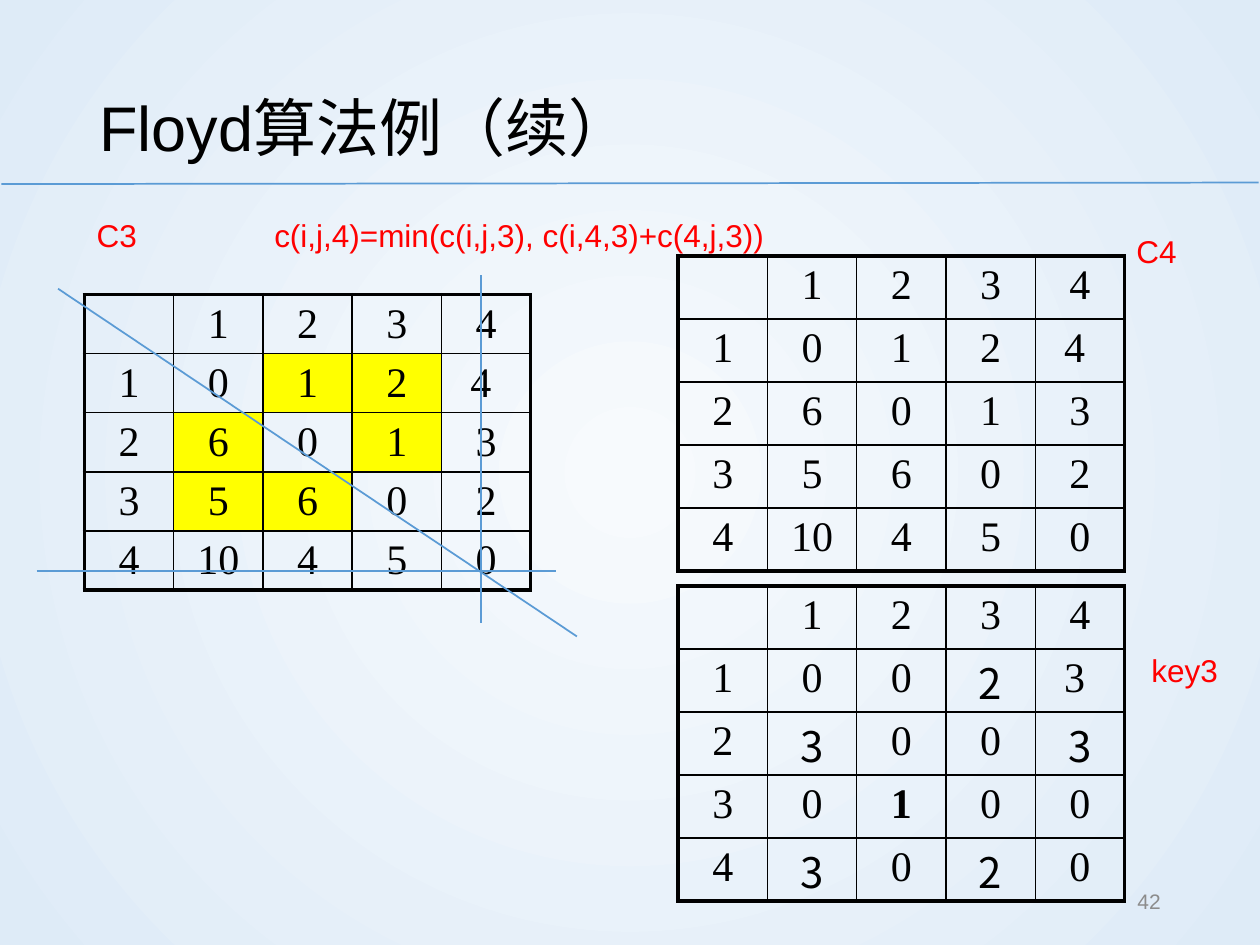
from dataclasses import dataclass

from lxml.etree import SubElement
from pptx import Presentation
from pptx.dml.color import RGBColor as Rgb
from pptx.enum.shapes import MSO_CONNECTOR as Connector
from pptx.enum.text import MSO_ANCHOR as Anchor, PP_ALIGN as Align
from pptx.oxml.ns import qn
from pptx.util import Cm, Pt


@dataclass(frozen=True)
class Theme:
    sans: str = "Arial"
    serif: str = "Times New Roman"
    cjk: str = "Noto Sans CJK SC"
    ink: str = "000000"
    accent: str = "FF0000"
    muted: str = "8C8C8C"
    line: str = "5B9BD5"
    highlight: str = "FFFF00"
    glow: str = "F7FAFD"
    edge: str = "DEEBF7"
    title_size: int = 36
    cell_size: int = 24
    label_size: int = 18
    number_size: int = 12
    thin: float = 1
    thick: float = 2.25


THEME = Theme()
CELL_WIDTH = 1.8

COSTS = [
    ["", "1", "2", "3", "4"],
    ["1", "0", "1", "2", "4 "],
    ["2", "6", "0", "1", "3"],
    ["3", "5", "6", "0", "2"],
    ["4", "10", "4", "5", "0"],
]
KEYS = [
    ["", "1", "2", "3", "4"],
    ["1", "0", "0", "2", "3 "],
    ["2", "3", "0", "0", "3"],
    ["3", "0", "1", "0", "0"],
    ["4", "3", "0", "2", "0"],
]
COMPARED = {(i, j) for i in range(1, 4) for j in range(1, 4) if i != j}
UPDATED_KEYS = {(1, 3), (2, 1), (2, 4), (4, 1), (4, 3)}
BOLD_KEYS = {(3, 2)}

MATRICES = [
    dict(values=COSTS, left=1.7, top=5.94, row_height=1.19, highlighted=COMPARED),
    dict(values=COSTS, left=13.67, top=5.16, row_height=1.27),
    dict(values=KEYS, left=13.67, top=11.81, row_height=1.27,
         cjk_cells=UPDATED_KEYS, bold_cells=BOLD_KEYS),
]
LABELS = [
    ("C3", 1.7, 4.24, 1.9),
    ("c(i,j,4)=min(c(i,j,3), c(i,4,3)+c(4,j,3))", 5.28, 4.24, 19.25),
    ("C4", 22.66, 4.55, 1.9),
    ("key3", 22.96, 13, 1.9),
]
LINES = [
    (0.03, 3.71, 25.37, 3.68),
    (1.17, 5.82, 11.63, 12.83),
    (0.74, 11.51, 11.2, 11.51),
    (9.7, 12.55, 9.7, 5.54),
]


def style(paragraph, size, color, name):
    paragraph.font.size = Pt(size)
    paragraph.font.color.rgb = Rgb.from_string(color)
    paragraph.font.name = name


def paint_background(slide):
    fill = slide.background.fill
    fill.gradient()
    for stop, color in zip(fill.gradient_stops, (THEME.glow, THEME.edge)):
        stop.color.rgb = Rgb.from_string(color)
    gradient = next(slide.element.iter(qn("a:gradFill")))
    gradient.remove(gradient.find(qn("a:lin")))
    radial = SubElement(gradient, qn("a:path"), path="circle")
    SubElement(radial, qn("a:fillToRect"), {side: "50000" for side in "ltrb"})


def add_text(slide, text, left, top, width, height, size, color,
             anchor=Anchor.TOP, align=Align.LEFT):
    shape = slide.shapes.add_textbox(Cm(left), Cm(top), Cm(width), Cm(height))
    frame = shape.text_frame
    frame.word_wrap = True
    frame.vertical_anchor = anchor
    paragraph = frame.paragraphs[0]
    paragraph.text = text
    paragraph.alignment = align
    style(paragraph, size, color, THEME.sans)
    return paragraph


def add_line(slide, x1, y1, x2, y2):
    line = slide.shapes.add_connector(Connector.STRAIGHT, Cm(x1), Cm(y1), Cm(x2), Cm(y2))
    line.line.color.rgb = Rgb.from_string(THEME.line)
    line.line.width = Pt(THEME.thin)
    SubElement(line._element.spPr, qn("a:effectLst"))


def set_borders(cell, outer_sides):
    properties = cell._tc.get_or_add_tcPr()
    for side in "LRTB":
        width = THEME.thick if side in outer_sides else THEME.thin
        border = SubElement(properties, qn(f"a:ln{side}"), w=str(Pt(width)))
        fill = SubElement(border, qn("a:solidFill"))
        SubElement(fill, qn("a:srgbClr"), val=THEME.ink)


def add_matrix(slide, values, left, top, row_height,
               highlighted=(), cjk_cells=(), bold_cells=()):
    count = len(values)
    table = slide.shapes.add_table(count, count, Cm(left), Cm(top),
                                   Cm(CELL_WIDTH * count), Cm(row_height * count)).table
    table.first_row = table.horz_banding = False
    for column in table.columns:
        column.width = Cm(CELL_WIDTH)
    for i, row in enumerate(values):
        table.rows[i].height = Cm(row_height)
        for j, text in enumerate(row):
            cell = table.cell(i, j)
            edges = {"T": i == 0, "B": i == count - 1, "L": j == 0, "R": j == count - 1}
            set_borders(cell, [side for side, outer in edges.items() if outer])
            if (i, j) in highlighted:
                cell.fill.solid()
                cell.fill.fore_color.rgb = Rgb.from_string(THEME.highlight)
            else:
                cell.fill.background()
            is_cjk = (i, j) in cjk_cells
            cell.margin_bottom = 0
            if is_cjk:
                cell.margin_top = 0
                cell.vertical_anchor = Anchor.BOTTOM
            paragraph = cell.text_frame.paragraphs[0]
            paragraph.text = text
            paragraph.alignment = Align.CENTER
            style(paragraph, THEME.cell_size, THEME.ink, THEME.cjk if is_cjk else THEME.serif)
            paragraph.font.bold = (i, j) in bold_cells


def main():
    presentation = Presentation()
    presentation.slide_width, presentation.slide_height = Cm(25.4), Cm(19.05)
    slide = presentation.slides.add_slide(presentation.slide_layouts[6])
    paint_background(slide)

    title = add_text(slide, "Floyd算法例（续）", 1.75, 1.02, 21.9, 2.74,
                     THEME.title_size, THEME.ink, Anchor.MIDDLE)
    title.line_spacing = 1.2
    SubElement(title._p.pPr.find(qn("a:defRPr")), qn("a:ea"), typeface=THEME.cjk)

    for matrix in MATRICES:
        add_matrix(slide, **matrix)
    for text, left, top, width in LABELS:
        add_text(slide, text, left, top, width, 1.02, THEME.label_size, THEME.accent)
    for ends in LINES:
        add_line(slide, *ends)
    add_text(slide, "42", 17.93, 17.65, 5.72, 1.02, THEME.number_size, THEME.muted,
             Anchor.MIDDLE, Align.RIGHT)
    presentation.save("out.pptx")


if __name__ == "__main__":
    main()
